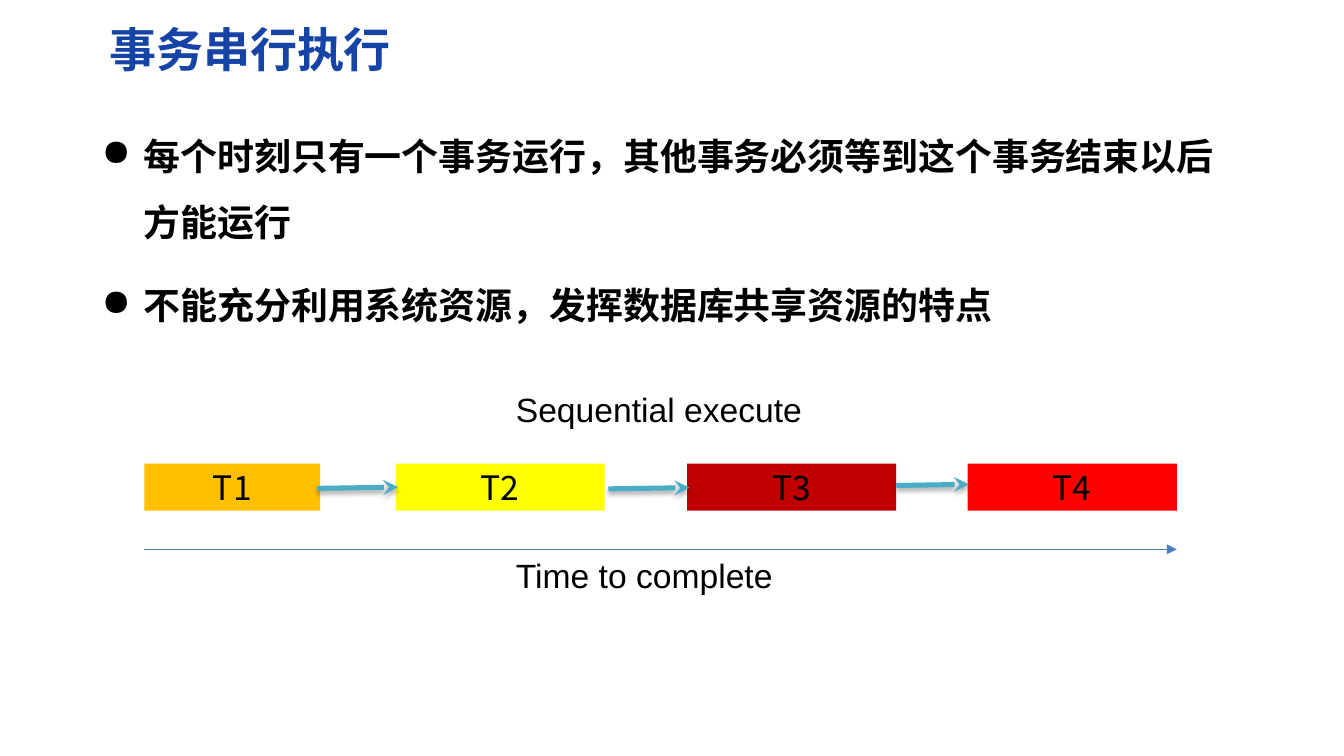
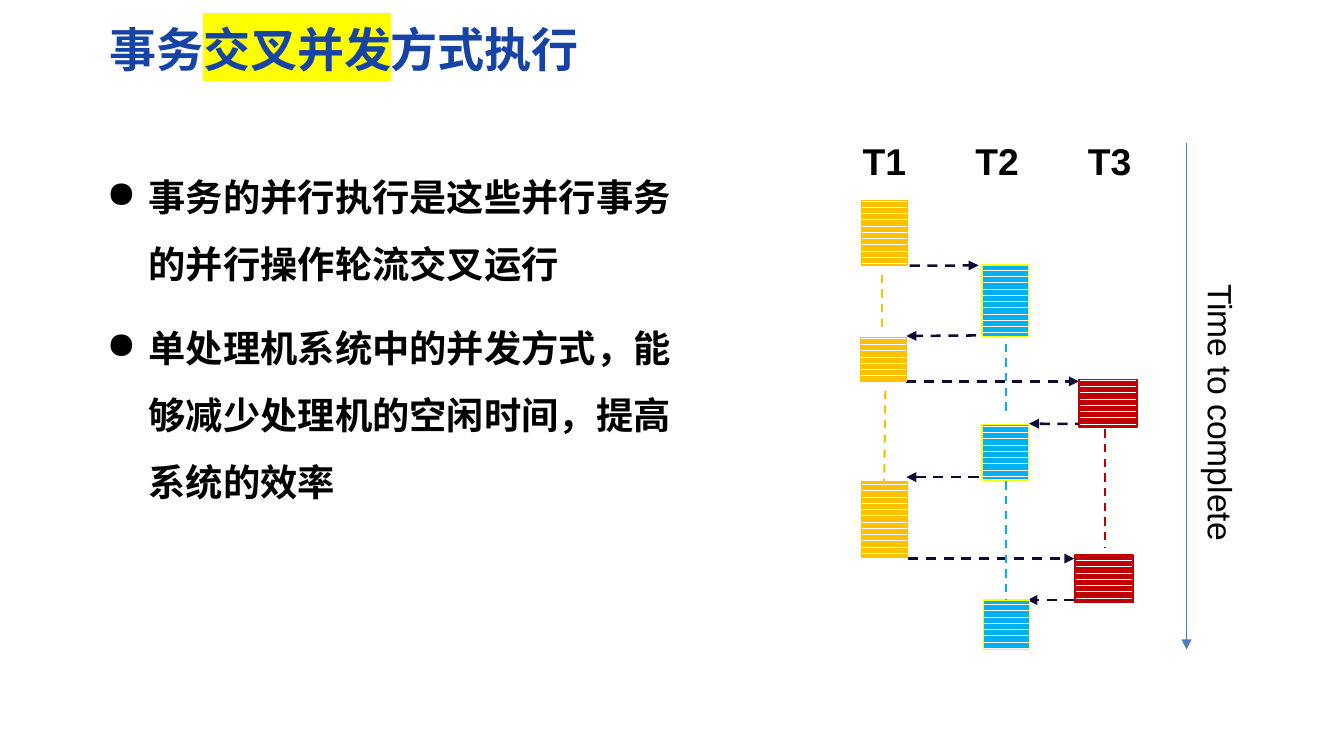
"""Two slides comparing serial and interleaved execution of transactions."""
import pptx
import pptx.util
import pptx.dml.color
import pptx.enum.dml
import pptx.enum.shapes
import pptx.enum.text
import pptx.oxml
import pptx.oxml.ns

Pt = pptx.util.Pt
RGB = pptx.dml.color.RGBColor.from_string
ALIGN = pptx.enum.text.PP_ALIGN
ANCHOR = pptx.enum.text.MSO_ANCHOR
DASH = pptx.enum.dml.MSO_LINE.DASH
RECTANGLE = pptx.enum.shapes.MSO_SHAPE.RECTANGLE
STRAIGHT = pptx.enum.shapes.MSO_CONNECTOR.STRAIGHT
NS = pptx.oxml.ns.nsdecls("a")
CJK, LATIN = "Noto Sans CJK SC", "Arial"
COLORS = {
    "title": "1543A6", "text": "000000", "paper": "FFFFFF", "yellow": "FFFF00",
    "amber": "FFC000", "dark red": "C00000", "red": "FF0000", "sky": "00B0F0",
    "teal": "4BACC6", "time": "4B7EBC", "switch": "130A36",
}
SHADOW = (
    f'<a:effectLst {NS}><a:outerShdw blurRad="40000" dist="23000" dir="5400000" '
    'rotWithShape="0"><a:srgbClr val="000000"><a:alpha val="35000"/></a:srgbClr>'
    "</a:outerShdw></a:effectLst>"
)


def write(frame, paragraphs, size, face, color="text", bold=False,
          align=ALIGN.LEFT, margins=(7.2, 3.6), bullets=False):
    frame.word_wrap = True
    frame.margin_left = frame.margin_right = Pt(margins[0])
    frame.margin_top = frame.margin_bottom = Pt(margins[1])
    for index, segments in enumerate(paragraphs):
        paragraph = frame.add_paragraph() if index else frame.paragraphs[0]
        paragraph.alignment = align
        if bullets:
            properties = paragraph._p.get_or_add_pPr()
            properties.set("marL", str(Pt(25)))
            properties.set("indent", str(-Pt(25)))
            properties.append(pptx.oxml.parse_xml(f'<a:buChar {NS} char="●"/>'))
            paragraph.line_spacing = 1.5
            paragraph.space_after = Pt(5.2)
            if index:
                paragraph.space_before = Pt(4.4)
        for segment in segments:
            run = paragraph.add_run()
            run.text = segment
            run.font.size, run.font.bold, run.font.name = Pt(size), bold, face
            run.font.color.rgb = RGB(COLORS[color])
            run.font._element.find(pptx.oxml.ns.qn("a:latin")).addnext(
                pptx.oxml.parse_xml(f'<a:ea {NS} typeface="{face}"/>'))


def draw_line(slide, points, color, width, head=None, dashed=False, shadow=False):
    line = slide.shapes.add_connector(STRAIGHT, *map(Pt, points))
    line.line.color.rgb = RGB(COLORS[color])
    line.line.width = Pt(width)
    if dashed:
        line.line.dash_style = DASH
    if head:
        line.line._get_or_add_ln().append(
            pptx.oxml.parse_xml(f'<a:tailEnd {NS} type="{head}"/>'))
    line._element.spPr.append(
        pptx.oxml.parse_xml(SHADOW if shadow else f"<a:effectLst {NS}/>"))


deck = pptx.Presentation()
deck.slide_width, deck.slide_height = Pt(800), Pt(450)

contents = [
    (["事务串行执行"], (54, 63, 686, 132), 22,
     ["每个时刻只有一个事务运行，其他事务必须等到这个事务结束以后方能运行",
      "不能充分利用系统资源，发挥数据库共享资源的特点"]),
    (["事务", "交叉并发", "方式执行"], (57, 87.5, 364, 214), 22.2,
     ["事务的并行执行是这些并行事务的并行操作轮流交叉运行",
      "单处理机系统中的并发方式，能够减少处理机的空闲时间，提高系统的效率"]),
]
for title, body_box, body_size, points in contents:
    slide = deck.slides.add_slide(deck.slide_layouts[6])
    title_frame = slide.shapes.add_textbox(Pt(57), Pt(8.6), Pt(706), Pt(41)).text_frame
    title_frame.vertical_anchor = ANCHOR.MIDDLE
    write(title_frame, [title], 28, CJK, "title", True, margins=(8, 4))
    body_frame = slide.shapes.add_textbox(*map(Pt, body_box)).text_frame
    write(body_frame, [[point] for point in points], body_size, CJK,
          bold=True, margins=(6.5, 3), bullets=True)
serial, interleaved = deck.slides

highlighted = interleaved.shapes[0].text_frame.paragraphs[0].runs[1]
highlighted.font._element.find(pptx.oxml.ns.qn("a:latin")).addprevious(
    pptx.oxml.parse_xml(
        f'<a:highlight {NS}><a:srgbClr val="{COLORS["yellow"]}"/></a:highlight>'))

transactions = [("T1", 86, 104.5, "amber"), ("T2", 235.5, 124.5, "yellow"),
                ("T3", 409, 124.5, "dark red"), ("T4", 576, 124.5, "red")]
for name, left, width, color in transactions:
    block = serial.shapes.add_shape(RECTANGLE, Pt(left), Pt(276), Pt(width), Pt(28))
    block.shadow.inherit = False
    block.fill.solid()
    block.fill.fore_color.rgb = RGB(COLORS[color])
    block.line.fill.background()
    block.text_frame.vertical_anchor = ANCHOR.MIDDLE
    write(block.text_frame, [[name]], 20, CJK, align=ALIGN.CENTER)

for start, end, top in [(188.6, 237, 290.7), (362.2, 410.4, 291), (533.5, 576.7, 289)]:
    draw_line(serial, (start, top, end, top - 0.7), "teal", 3, "stealth", shadow=True)
draw_line(serial, (86, 327, 700.5, 327), "time", 0.75, "triangle")

for caption, top in [("Time to complete", 327), ("Sequential execute", 228)]:
    caption_frame = serial.shapes.add_textbox(Pt(300), Pt(top), Pt(200), Pt(32)).text_frame
    write(caption_frame, [[caption]], 20, LATIN)

switches = [
    (541.5, 158.2, 582.5, 158), (581, 199.7, 539.5, 200), (539.5, 227, 642.2, 227),
    (677.5, 252.5, 612.5, 252.2), (582.5, 284, 539.5, 284),
    (540.7, 332.5, 639.5, 332.5), (639.5, 357.2, 611.5, 357.2),
]
for switch in switches:
    draw_line(interleaved, switch, "switch", 1.5, "triangle", dashed=True)

lanes = [
    ("T1", "amber", "amber", 27.4,
     [(512.6, 119.5, 38.2), (512, 201, 26), (512.6, 286.5, 45.4)],
     [(525, 163.5, 525, 194.5), (527, 232.5, 526.3, 286.5)]),
    ("T2", "sky", "yellow", 27.4,
     [(584.6, 157.7, 42.5), (584.6, 252.7, 33), (585.6, 357.2, 29.5)],
     [(599, 204.5, 599, 247.7), (599, 286.5, 599, 357)]),
    ("T3", "dark red", "dark red", 34.6,
     [(642.2, 226, 28.2), (639.8, 330.3, 28.2)],
     [(658, 255.5, 658, 326)]),
]
for lane, (name, color, outline, width, bars, waits) in enumerate(lanes):
    heading = interleaved.shapes.add_textbox(Pt(492 + 67 * lane), Pt(79), Pt(69), Pt(34))
    write(heading.text_frame, [[name]], 22.2, LATIN, bold=True, align=ALIGN.CENTER)
    for left, top, height in bars:
        bar = interleaved.shapes.add_shape(
            RECTANGLE, Pt(left), Pt(top), Pt(width), Pt(height))
        bar.shadow.inherit = False
        bar.fill.patterned()
        bar.fill.pattern = pptx.enum.dml.MSO_PATTERN.DARK_HORIZONTAL
        bar.fill.fore_color.rgb = RGB(COLORS[color])
        bar.fill.back_color.rgb = RGB(COLORS["paper"])
        bar.line.color.rgb = RGB(COLORS[outline])
        bar.line.width = Pt(0.75)
    for wait in waits:
        draw_line(interleaved, wait, color, 1.25, dashed=True)

draw_line(interleaved, (706.3, 85, 706.3, 386.6), "time", 0.75, "triangle")
time_frame = interleaved.shapes.add_textbox(Pt(703.5), Pt(162), Pt(39), Pt(203)).text_frame
write(time_frame, [["Time to complete"]], 20, LATIN)
time_frame._txBody.bodyPr.set("vert", "eaVert")

deck.save("out.pptx")
